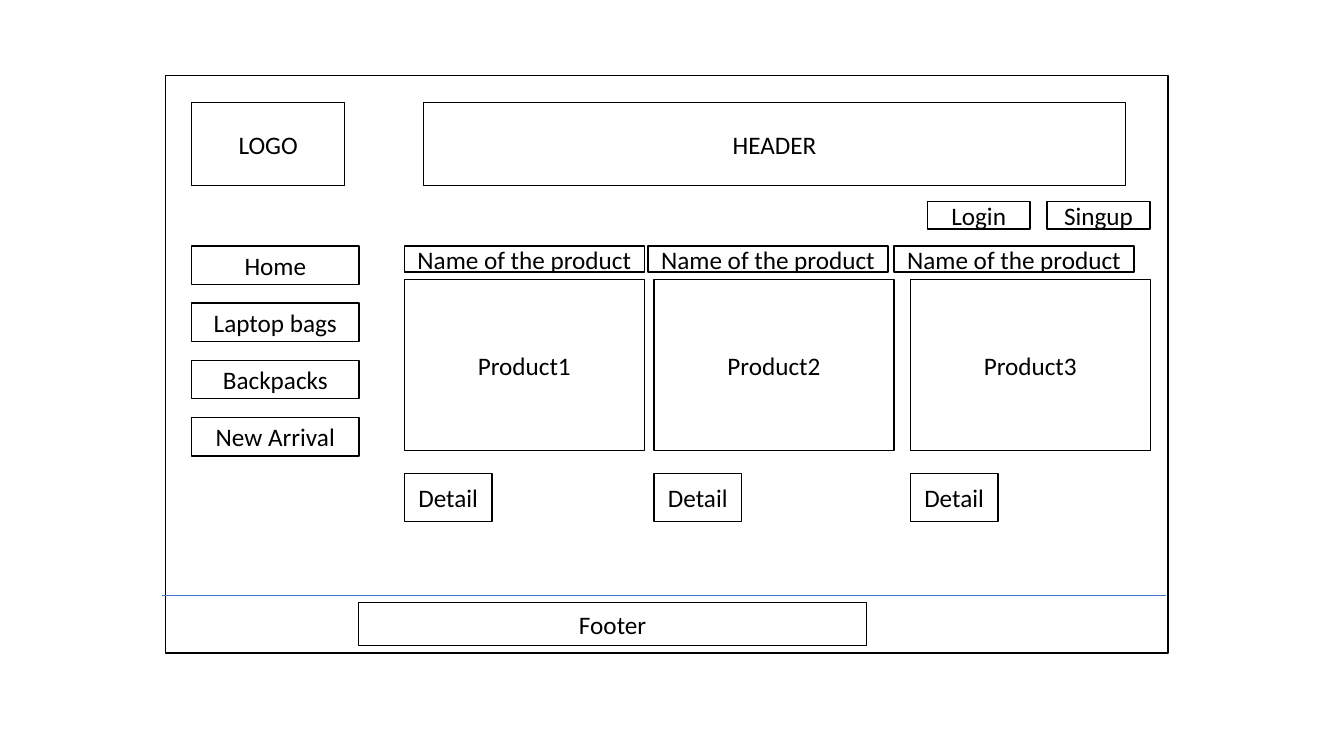
"""Builds a wireframe slide of a bag shop's home page."""
from lxml import etree
from pptx import Presentation
from pptx.dml.color import RGBColor
from pptx.enum.shapes import MSO_CONNECTOR, MSO_SHAPE
from pptx.enum.text import MSO_ANCHOR, PP_ALIGN
from pptx.oxml.ns import qn
from pptx.util import Cm, Pt

RECT, STRAIGHT = MSO_SHAPE.RECTANGLE, MSO_CONNECTOR.STRAIGHT
MIDDLE, CENTER = MSO_ANCHOR.MIDDLE, PP_ALIGN.CENTER
FONT = {"name": "Calibri", "size": Pt(18)}


def rgb(value):
    return RGBColor.from_string(value)


def box(left, top, width, height, text=""):
    sp = s.shapes.add_shape(RECT, Cm(left), Cm(top), Cm(width), Cm(height))
    sp.shadow.inherit = False
    sp.fill.solid()
    sp.fill.fore_color.rgb = rgb("FFFFFF")
    sp.line.color.rgb = rgb("000000")
    sp.line.width = Pt(1)
    if text:
        tf = sp.text_frame
        tf.word_wrap = True
        tf.vertical_anchor = MIDDLE
        p = tf.paragraphs[0]
        p.alignment = CENTER
        r = p.add_run()
        r.text = text
        for key, value in FONT.items():
            setattr(r.font, key, value)
        r.font.color.rgb = rgb("000000")


prs = Presentation()
prs.slide_width, prs.slide_height = Cm(33.87), Cm(19.05)
s = prs.slides.add_slide(prs.slide_layouts[6])

box(4.17, 1.91, 25.27, 14.55)
box(4.83, 2.59, 3.86, 2.08, "LOGO")
box(10.67, 2.59, 17.7, 2.08, "HEADER")

menu_top, menu_step = 6.2, 1.44
for i, item in enumerate(["Home", "Laptop bags", "Backpacks", "New Arrival"]):
    box(4.83, menu_top + i * menu_step, 4.22, 0.97, item)

divider = s.shapes.add_connector(STRAIGHT, Cm(4.09), Cm(15.01), Cm(29.39), Cm(15.01))
divider.line.color.rgb = rgb("4472C4")
divider.line.width = Pt(0.5)
etree.SubElement(divider._element.spPr, qn("a:effectLst"))

box(9.04, 15.19, 12.8, 1.07, "Footer")

for left, action in [(23.37, "Login"), (26.39, "Singup")]:
    box(left, 5.08, 2.59, 0.69, action)

product_lefts = [10.19, 16.48, 22.94]
name_lefts = [10.19, 16.33, 22.53]
for number, left in enumerate(product_lefts, 1):
    box(left, 7.04, 6.05, 4.32, f"Product{number}")
    box(left, 11.93, 2.21, 1.22, "Detail")
for left in name_lefts:
    box(left, 6.2, 6.05, 0.66, "Name of the product")

prs.save("out.pptx")
